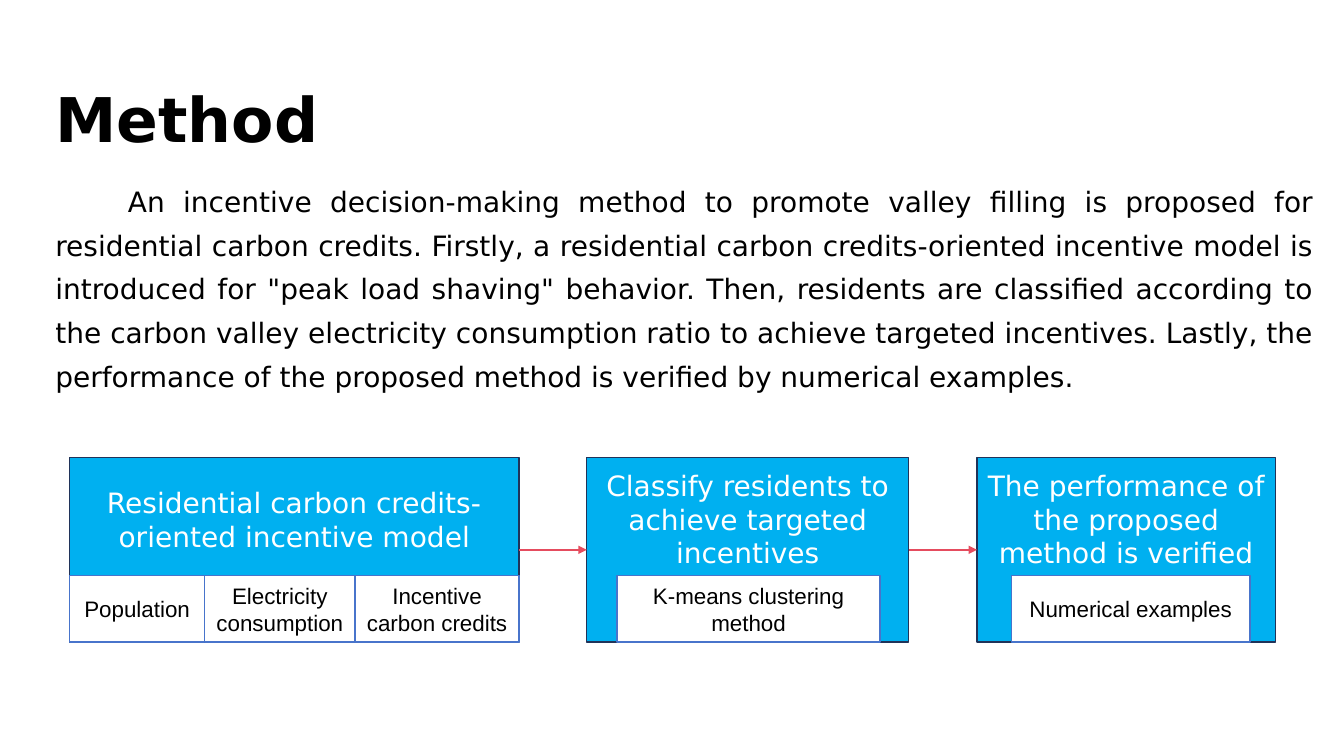
from itertools import pairwise
from lxml.etree import SubElement as Sub
from pptx import Presentation
from pptx.dml.color import RGBColor as Rgb
from pptx.enum.shapes import MSO_CONNECTOR as Link, MSO_SHAPE as Kind
from pptx.enum.text import MSO_ANCHOR as Anchor, PP_ALIGN as Align
from pptx.oxml.ns import qn
from pptx.util import Inches, Pt

WIDE, HIGH = Inches(13.33), Inches(7.5)
INK = {
    "text": "000000", "paper": "FFFFFF", "step": "00B0F0",
    "edge": "203359", "trim": "4874CB", "arrow": "E54C5E",
}
SANS, PLAIN = "DejaVu Sans", "Arial"
TOP, TALL, FOOT = 60.53, 24.4, 8.8

INTRO = (
    "An incentive decision-making method to promote valley filling is proposed "
    "for residential carbon credits. Firstly, a residential carbon "
    "credits-oriented incentive model is introduced for \"peak load shaving\" "
    "behavior. Then, residents are classified according to the carbon valley "
    "electricity consumption ratio to achieve targeted incentives. Lastly, the "
    "performance of the proposed method is verified by numerical examples."
)

STEPS = [
    (5.18, 33.45, "Residential carbon credits-oriented incentive model", 0,
     [("Population", 10.05), ("Electricity consumption", 11.18),
      ("Incentive carbon credits", 12.22)]),
    (43.66, 23.95, "Classify residents to achieve targeted incentives", 2.25,
     [("K-means clustering method", 19.58)]),
    (72.69, 22.2, "The performance of the proposed method is verified", 2.55,
     [("Numerical examples", 17.78)]),
]


def col(share):
    return round(WIDE * share / 100)


def row(share):
    return round(HIGH * share / 100)


def area(x, y, w, h):
    return col(x), row(y), col(w), row(h)


def tint(name):
    return Rgb.from_string(INK[name])


def write(shape, text, size, face, ink, align, anchor=Anchor.MIDDLE):
    frame = shape.text_frame
    frame.word_wrap = True
    frame.vertical_anchor = anchor
    para = frame.paragraphs[0]
    para.text = text
    para.alignment = align
    font = para.font
    font.size, font.name = Pt(size), face
    font.color.rgb = tint(ink)
    return para


def panel(slide, place, fill, edge, text, size, face, ink, base=0.05):
    shape = slide.shapes.add_shape(Kind.RECTANGLE, *area(*place))
    shape.shadow.inherit = False
    shape.fill.solid()
    shape.fill.fore_color.rgb = tint(fill)
    shape.line.color.rgb = tint(edge)
    shape.line.width = Pt(1)
    write(shape, text, size, face, ink, Align.CENTER)
    frame = shape.text_frame
    frame.margin_left = frame.margin_right = Inches(0.09)
    frame.margin_bottom = Inches(base)


def arrow(slide, start, end):
    y = row(TOP + TALL / 2)
    link = slide.shapes.add_connector(Link.STRAIGHT, col(start), y, col(end), y)
    link.line.color.rgb = tint("arrow")
    link.line.width = Pt(1)
    Sub(link.line._get_or_add_ln(), qn("a:tailEnd"), type="triangle")
    Sub(link._element.spPr, qn("a:effectLst"))


def title(slide):
    box = slide.shapes.add_textbox(*area(3.38, 8.4, 93.25, 15.6))
    para = write(box, "Method", 44, SANS, "text", Align.LEFT)
    para.font.bold = True
    para.line_spacing = 0.9


def intro(slide):
    box = slide.shapes.add_textbox(*area(3.38, 22.4, 95.12, 36))
    para = write(box, INTRO, 20, SANS, "text", Align.JUSTIFY, Anchor.TOP)
    para.line_spacing = 1.3
    para._p.get_or_add_pPr().set("indent", str(Inches(0.72)))


def step(slide, x, w, text, pad, tags):
    panel(slide, (x, TOP, w, TALL), "step", "edge", text, 20, SANS, "paper",
          base=0.66)
    x += pad
    for label, w in tags:
        panel(slide, (x, TOP + TALL - FOOT, w, FOOT), "paper", "trim",
              label, 16, PLAIN, "text")
        x += w


def main():
    deck = Presentation()
    deck.slide_width, deck.slide_height = WIDE, HIGH
    slide = deck.slides.add_slide(deck.slide_layouts[6])
    title(slide)
    intro(slide)
    for item in STEPS:
        step(slide, *item)
    for (x, w, *_), (end, *_) in pairwise(STEPS):
        arrow(slide, x + w, end)
    deck.save("out.pptx")


if __name__ == "__main__":
    main()
